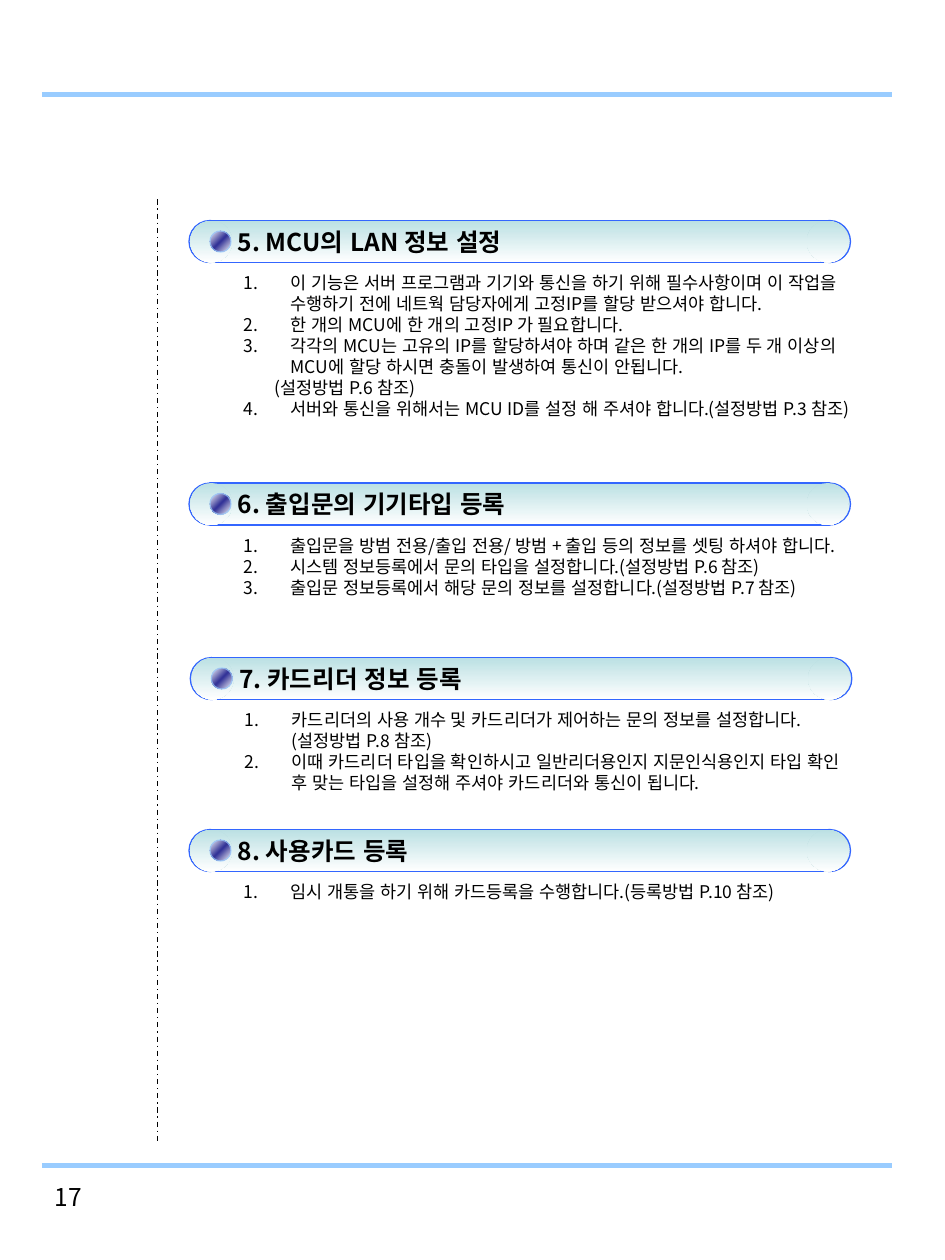
from dataclasses import dataclass

from lxml import etree
from pptx import Presentation
from pptx.dml.color import RGBColor
from pptx.enum.dml import MSO_LINE
from pptx.enum.shapes import MSO_CONNECTOR, MSO_SHAPE
from pptx.enum.text import MSO_ANCHOR, PP_ALIGN
from pptx.oxml.ns import qn
from pptx.util import Pt

OVAL, RECT = MSO_SHAPE.OVAL, MSO_SHAPE.RECTANGLE
LINE, DASH = MSO_CONNECTOR.STRAIGHT, MSO_LINE.DASH_DOT
MID, LEFT = MSO_ANCHOR.MIDDLE, PP_ALIGN.LEFT


@dataclass(frozen=True)
class Theme:
    font: str = "Noto Sans CJK KR"
    ink: str = "000000"
    rule: str = "99CCFF"
    edge: str = "3366FF"
    bar: tuple = ((0, "BBE0E3"), (100, "FFFFFF"))
    bead: tuple = ((0, "FFFFFF"), (50, "333399"), (100, "FFFFFF"))
    head: float = 14
    body: float = 10
    lead: float = 1.2


@dataclass(frozen=True)
class Item:
    text: str
    auto: bool = True
    left: float = 27
    hang: float = -27


@dataclass(frozen=True)
class Part:
    left: float
    top: float
    title: str
    items: tuple


THEME = Theme()
BAR = 24  # bar height and end cap diameter

PARTS = (
    Part(108, 126, "5. MCU의 LAN 정보 설정", (
        Item("이 기능은 서버 프로그램과 기기와 통신을 하기 위해 필수사항이며 이 작업을 "
             "수행하기 전에 네트웍 담당자에게 고정IP를 할당 받으셔야 합니다."),
        Item("한 개의 MCU에 한 개의 고정IP 가 필요합니다."),
        Item("각각의 MCU는 고유의 IP를 할당하셔야 하며 같은 한 개의 IP를 두 개 "
             "이상의 MCU에 할당 하시면 충돌이 발생하여 통신이 안됩니다."),
        Item("(설정방법 P.6 참조)", auto=False, left=18, hang=0),
        Item("4.\t서버와 통신을 위해서는 MCU ID를 설정 해 주셔야 합니다."
             "(설정방법 P.3 참조)", auto=False),
    )),
    Part(108, 276, "6. 출입문의 기기타입 등록", (
        Item("출입문을 방범 전용/출입 전용/ 방범 + 출입 등의 정보를 셋팅 하셔야 합니다."),
        Item("시스템 정보등록에서 문의 타입을 설정합니다.(설정방법 P.6 참조)"),
        Item("출입문 정보등록에서 해당 문의 정보를 설정합니다.(설정방법 P.7 참조)"),
    )),
    Part(108.75, 375.75, "7. 카드리더 정보 등록", (
        Item("카드리더의 사용 개수 및 카드리더가 제어하는 문의 정보를 설정합니다."
             "(설정방법 P.8 참조)"),
        Item("이때 카드리더 타입을 확인하시고 일반리더용인지 지문인식용인지 타입 확인 후 "
             "맞는 타입을 설정해 주셔야 카드리더와 통신이 됩니다."),
    )),
    Part(108, 474, "8. 사용카드 등록", (
        Item("임시 개통을 하기 위해 카드등록을 수행합니다.(등록방법 P.10 참조)"),
    )),
)


def style(para, size: float, bold: bool = False) -> None:
    para.alignment = LEFT
    para.line_spacing = Pt(size * THEME.lead)
    for run in para.runs:
        font = run.font
        font.size, font.bold, font.name = Pt(size), bold, THEME.font
        font.color.rgb = RGBColor.from_string(THEME.ink)
        props = run._r.get_or_add_rPr()
        props.set("lang", "ko-KR")
        etree.SubElement(props, qn("a:ea")).set("typeface", THEME.font)


def shade(shape, stops: tuple, angle: float) -> None:
    shape.fill.gradient()
    shape.fill.gradient_angle = angle
    stack = shape._element.spPr.find(qn("a:gradFill")).find(qn("a:gsLst"))
    for old in list(stack):
        stack.remove(old)
    for place, tone in stops:
        stop = etree.SubElement(stack, qn("a:gs"))
        stop.set("pos", str(place * 1000))
        etree.SubElement(stop, qn("a:srgbClr")).set("val", tone)


def block(group, kind, left: float, top: float, width: float, high: float,
          stops: tuple = THEME.bar, angle: float = 270, edge: str = ""):
    shape = group.shapes.add_shape(kind, Pt(left), Pt(top), Pt(width), Pt(high))
    shape.shadow.inherit = False
    shade(shape, stops, angle)
    if edge:
        shape.line.color.rgb = RGBColor.from_string(edge)
        shape.line.width = Pt(0.75)
    else:
        shape.line.fill.background()
    return shape


def rule(slide, x1: float, y1: float, x2: float, y2: float,
         tone: str, width: float, dash=None) -> None:
    line = slide.shapes.add_connector(LINE, Pt(x1), Pt(y1), Pt(x2), Pt(y2))
    line.line.color.rgb = RGBColor.from_string(tone)
    line.line.width = Pt(width)
    if dash:
        line.line.dash_style = dash
    etree.SubElement(line._element.spPr, qn("a:effectLst"))


def banner(slide, part: Part) -> None:
    group = slide.shapes.add_group_shape()
    x, y = part.left, part.top
    # Outlined caps, then the bar over them
    for left in (x, x + 354):
        block(group, OVAL, left, y, BAR, BAR, edge=THEME.edge)
    bar = block(group, RECT, x + 12, y, 354, BAR, edge=THEME.edge)
    # Plain caps hide the bar's ends
    for left in (x + 353, x + 0.75):
        block(group, OVAL, left, y, BAR, BAR)
    bead = block(group, OVAL, x + 12, y + 6, 12, 12, THEME.bead, 135, THEME.rule)
    tone = bead.line._ln.find(qn("a:solidFill"))[0]
    etree.SubElement(tone, qn("a:alpha")).set("val", "70000")
    # Title
    frame = bar.text_frame
    frame.word_wrap = True
    frame.vertical_anchor = MID
    frame.margin_left = Pt(16)
    frame.text = part.title
    style(frame.paragraphs[0], THEME.head, bold=True)


def steps(slide, part: Part) -> None:
    box = slide.shapes.add_textbox(Pt(part.left + 24), Pt(part.top + 26),
                                   Pt(365), Pt(21.6))
    frame = box.text_frame
    frame.word_wrap = True
    frame.text = "\n".join(item.text for item in part.items)
    for para, item in zip(frame.paragraphs, part.items):
        style(para, THEME.body)
        props = para._p.get_or_add_pPr()
        props.set("marL", str(Pt(item.left)))
        props.set("indent", str(Pt(item.hang)))
        if item.auto:
            mark = etree.SubElement(props, qn("a:buAutoNum"))
            mark.set("type", "arabicPeriod")


def main() -> None:
    deck = Presentation()
    deck.slide_width, deck.slide_height = Pt(540), Pt(720)
    slide = deck.slides.add_slide(deck.slide_layouts[6])

    # Page rules
    for y in (666, 54):
        rule(slide, 24, y, 510, y, THEME.rule, 3)
    rule(slide, 90, 114, 90, 654, THEME.ink, 0.75, DASH)

    # Sections
    for part in PARTS:
        banner(slide, part)
        steps(slide, part)

    # Page number
    page = slide.shapes.add_textbox(Pt(24), Pt(672), Pt(126), Pt(30))
    page.text_frame.word_wrap = True
    page.text_frame.text = "17"
    style(page.text_frame.paragraphs[0], THEME.head)

    deck.save("out.pptx")


if __name__ == "__main__":
    main()
